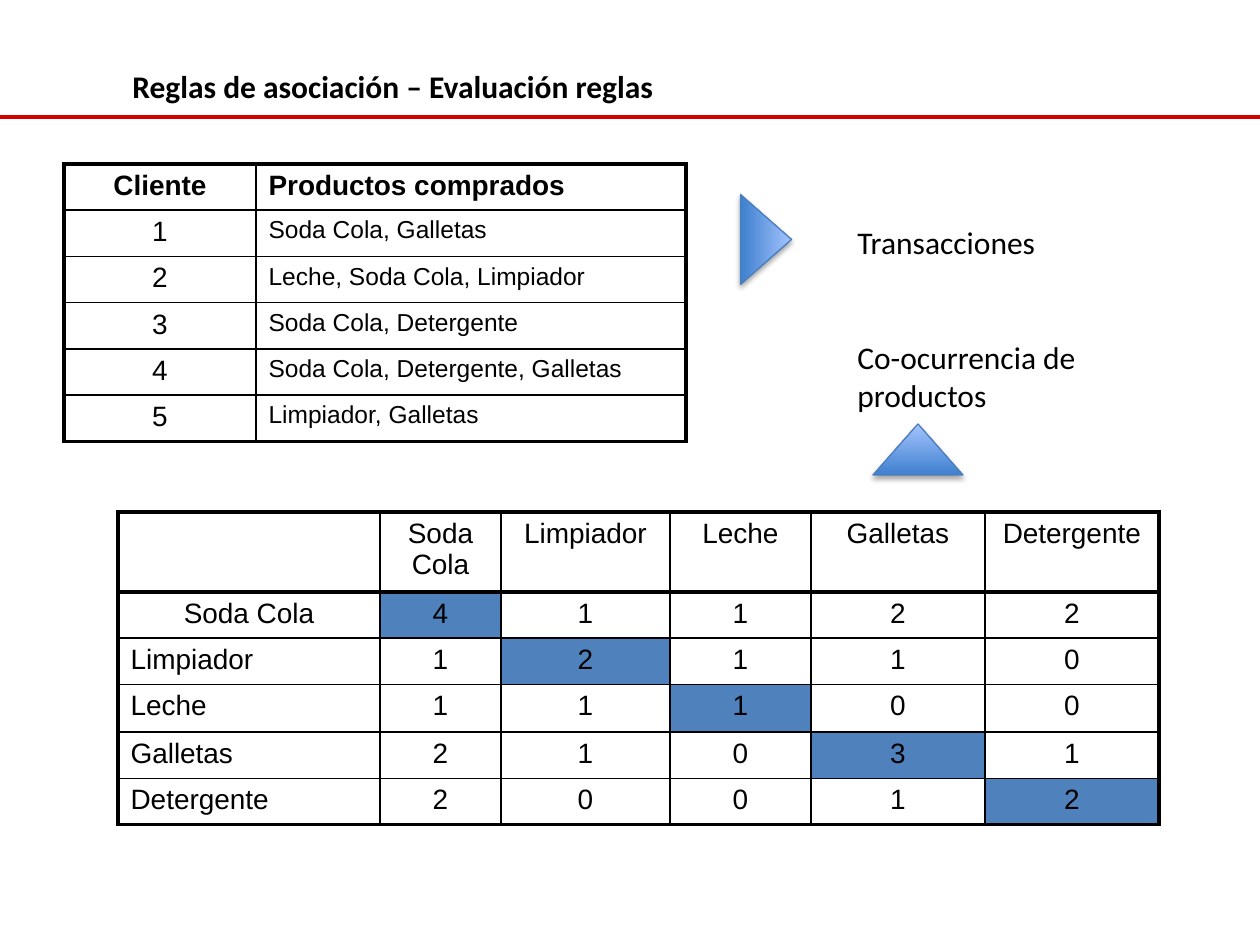
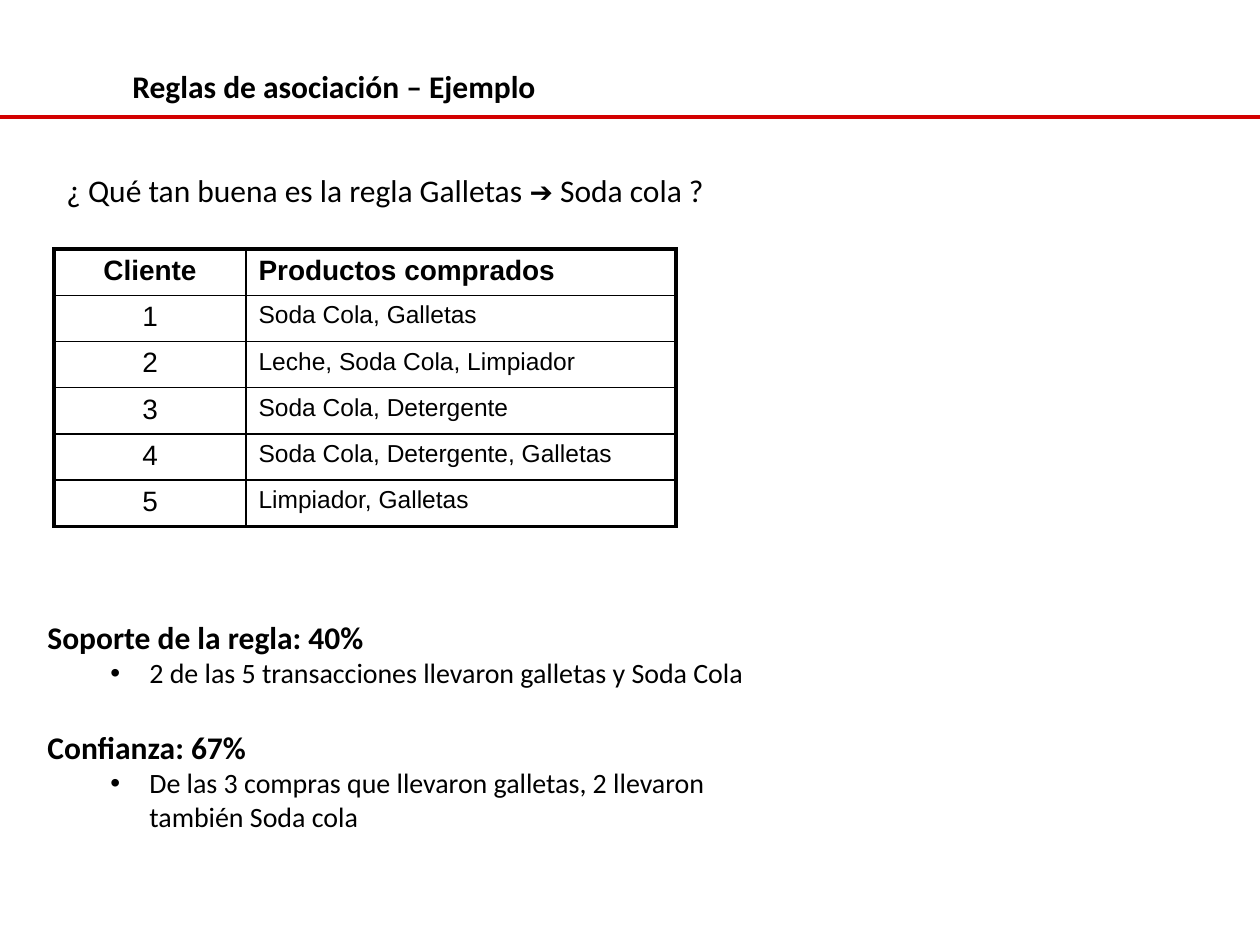
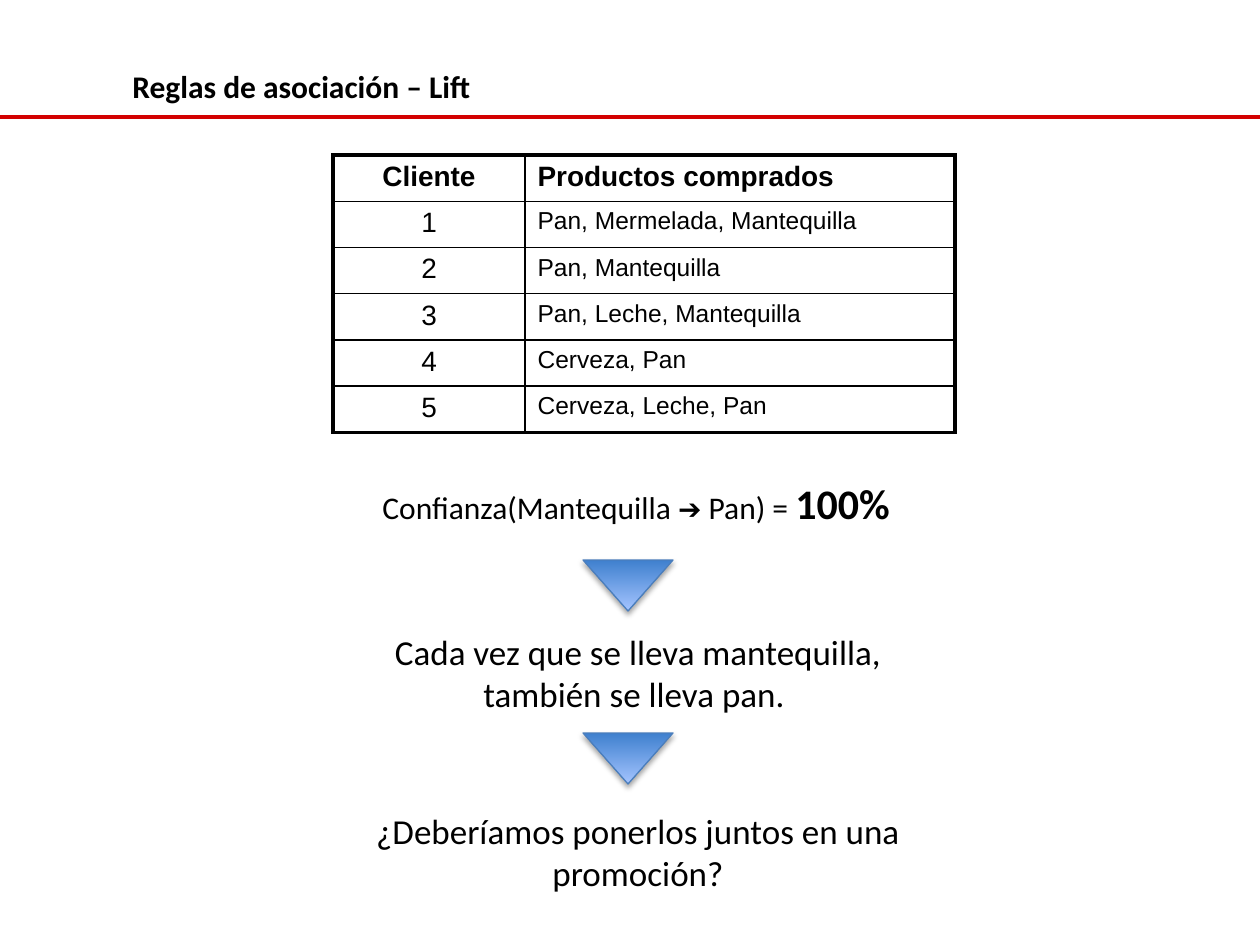
from lxml import etree
from pptx import Presentation
from pptx.dml.color import RGBColor
from pptx.enum.shapes import MSO_CONNECTOR, MSO_SHAPE
from pptx.enum.text import MSO_ANCHOR, PP_ALIGN
from pptx.oxml.ns import qn
from pptx.util import Emu, Pt

SCALE = 914400 / 126
LINE = MSO_CONNECTOR.STRAIGHT
PEAK = MSO_SHAPE.ISOSCELES_TRIANGLE
MID = MSO_ANCHOR.MIDDLE
LEFT, CENTER = PP_ALIGN.LEFT, PP_ALIGN.CENTER
BLACK, RED, BLUE = "000000", "D30000", "4F81BD"
DARK, LIGHT, EDGE = "3F80CE", "A4C4FF", "4B7EBC"
BODY, GRID = "Calibri", "Arial"
THIN, THICK = 1, 2.25

SALES = [
    "Soda Cola, Galletas",
    "Leche, Soda Cola, Limpiador",
    "Soda Cola, Detergente",
    "Soda Cola, Detergente, Galletas",
    "Limpiador, Galletas",
]
BREAD = [
    "Pan, Mermelada, Mantequilla",
    "Pan, Mantequilla",
    "Pan, Leche, Mantequilla",
    "Cerveza, Pan",
    "Cerveza, Leche, Pan",
]
GOODS = ["Soda Cola", "Limpiador", "Leche", "Galletas", "Detergente"]
PAIRS = [
    [4, 1, 1, 2, 2],
    [1, 2, 1, 1, 0],
    [1, 1, 1, 0, 0],
    [2, 1, 0, 3, 1],
    [2, 0, 0, 1, 2],
]


def px(n):
    return Emu(round(n * SCALE))


def color(code):
    return RGBColor.from_string(code)


def style(font, size, bold=False, face=BODY):
    font.size = Pt(size)
    font.bold = bold
    font.name = face
    font.color.rgb = color(BLACK)


def add_box(slide, left, top, width, height):
    frame = slide.shapes.add_textbox(*map(px, (left, top, width, height))).text_frame
    frame.word_wrap = True
    return frame


def add_text(frame, text, size, bold=False, align=LEFT, gap=0, first=True):
    para = frame.paragraphs[0] if first else frame.add_paragraph()
    para.text = text
    para.alignment = align
    if gap:
        para.space_before = Pt(gap)
    for run in para.runs:
        style(run.font, size, bold)
    return para


def add_runs(frame, parts):
    for text, size, bold in parts:
        run = frame.paragraphs[0].add_run()
        run.text = text
        style(run.font, size, bold)


def add_bullet(frame, text):
    para = add_text(frame, text, 16, first=False)
    para.level = 1
    props = para._p.get_or_add_pPr()
    props.set("marL", str(px(102)))
    props.set("indent", str(px(-39)))
    etree.SubElement(props, qn("a:buFont"), typeface="Arial")
    etree.SubElement(props, qn("a:buChar"), char="•")


def add_peak(slide, left, top, turn=0):
    shape = slide.shapes.add_shape(PEAK, px(left), px(top), px(90), px(51))
    shape.rotation = turn
    shape.fill.gradient()
    shape.fill.gradient_angle = 90
    for stop, code, place in zip(shape.fill.gradient_stops, (DARK, LIGHT), (0, 1)):
        stop.color.rgb = color(code)
        stop.position = place
    shape.line.color.rgb = color(EDGE)
    shape.line.width = Pt(0.75)
    shape.shadow.inherit = False
    shade = etree.SubElement(
        shape._element.spPr.find(qn("a:effectLst")), qn("a:outerShdw"),
        blurRad=str(Pt(3.1)), dist=str(Pt(1.8)), dir="5400000", rotWithShape="0")
    tint = etree.SubElement(shade, qn("a:srgbClr"), val=BLACK)
    etree.SubElement(tint, qn("a:alpha"), val="35000")


def set_edges(cell, sides):
    props = cell._tc.get_or_add_tcPr()
    for side, width in zip("LRTB", sides):
        line = etree.SubElement(props, qn(f"a:ln{side}"), w=str(Pt(width)))
        fill = etree.SubElement(line, qn("a:solidFill"))
        etree.SubElement(fill, qn("a:srgbClr"), val=BLACK)


def add_grid(slide, left, top, cols, rows, data, look, rules=()):
    count, span = len(rows), len(cols)
    table = slide.shapes.add_table(
        count, span, *map(px, (left, top, sum(cols), sum(rows)))).table
    table.first_row = table.horz_banding = False
    for col, width in zip(table.columns, cols):
        col.width = px(width)
    heavy = {0, count, *rules}
    for r, height in enumerate(rows):
        table.rows[r].height = px(height)
        for c in range(span):
            cell = table.cell(r, c)
            size, bold, align, fill = look(r, c)
            set_edges(cell, (
                THICK if c == 0 else THIN,
                THICK if c == span - 1 else THIN,
                THICK if r in heavy else THIN,
                THICK if r + 1 in heavy else THIN))
            if fill:
                cell.fill.solid()
                cell.fill.fore_color.rgb = color(fill)
            else:
                cell.fill.background()
            cell.text = str(data[r][c])
            para = cell.text_frame.paragraphs[0]
            para.alignment = align
            style(para.font, size, bold, GRID)
            for run in para.runs:
                style(run.font, size, bold, GRID)


def sales_look(r, c):
    return 14 if r and c else 16, r == 0, LEFT if c else CENTER, None


def pair_look(r, c):
    align = LEFT if c == 0 and r > 1 else CENTER
    return 16, False, align, BLUE if r == c > 0 else None


def add_sales(slide, left, top, items):
    data = [("Cliente", "Productos comprados"), *enumerate(items, 1)]
    add_grid(slide, left, top, [192, 430], [45] * len(data), data, sales_look)


def add_pairs(slide):
    data = [["", *GOODS]] + [[name, *row] for name, row in zip(GOODS, PAIRS)]
    add_grid(slide, 118, 512, [262, 121, 169, 141, 174, 174],
             [74, 46, 44, 48, 44, 45], data, pair_look, rules=(1,))


def add_slide(deck, topic):
    slide = deck.slides.add_slide(deck.slide_layouts[6])
    rule = slide.shapes.add_connector(LINE, px(-28), px(117), px(1276), px(117))
    rule.line.color.rgb = color(RED)
    rule.line.width = Pt(2)
    etree.SubElement(rule._element.spPr, qn("a:effectLst"))
    frame = add_box(slide, 120, 54, 907, 63)
    frame.vertical_anchor = MID
    add_text(frame, f"Reglas de asociación – {topic}", 18, True)
    return slide


def build_rules(deck):
    slide = add_slide(deck, "Evaluación reglas")
    add_sales(slide, 64, 164, SALES)
    add_pairs(slide)
    frame = add_box(slide, 845, 217, 276, 204)
    add_text(frame, "Transacciones", 18)
    add_text(frame, "Co-ocurrencia de productos", 18, gap=44, first=False)
    add_peak(slide, 721, 214, 90)
    add_peak(slide, 873, 424)


def build_sample(deck):
    slide = add_slide(deck, "Ejemplo")
    add_sales(slide, 54, 249, SALES)
    add_runs(add_box(slide, 54, 165, 1121, 84), [
        ("¿ Qué tan buena es la regla Galletas ", 18, False),
        ("➔", 16, False),
        (" Soda cola ?", 18, False)])
    frame = add_box(slide, 35, 612, 774, 229)
    add_text(frame, "Soporte de la regla: 40%", 18, True)
    add_bullet(frame, "2 de las 5 transacciones llevaron galletas y Soda Cola")
    add_text(frame, "Confianza: 67%", 18, True, gap=22, first=False)
    add_bullet(frame, "De las 3 compras que llevaron galletas, 2 llevaron también Soda cola")


def build_lift(deck):
    slide = add_slide(deck, "Lift")
    add_sales(slide, 333, 155, BREAD)
    add_runs(add_box(slide, 370, 471, 546, 63), [
        ("Confianza(Mantequilla ", 18, False),
        ("➔", 16, False),
        (" Pan) = ", 18, False),
        ("100%", 24, True)])
    for top in (560, 733):
        add_peak(slide, 583, top, 180)
    add_text(add_box(slide, 348, 624, 580, 97),
             "Cada vez que se lleva mantequilla, también se lleva pan. ", 20, align=CENTER)
    add_text(add_box(slide, 336, 803, 604, 97),
             "¿Deberíamos ponerlos juntos en una promoción?", 20, align=CENTER)


def main():
    deck = Presentation()
    deck.slide_width, deck.slide_height = px(1260), px(945)
    build_rules(deck)
    build_sample(deck)
    build_lift(deck)
    deck.save("out.pptx")


if __name__ == "__main__":
    main()
